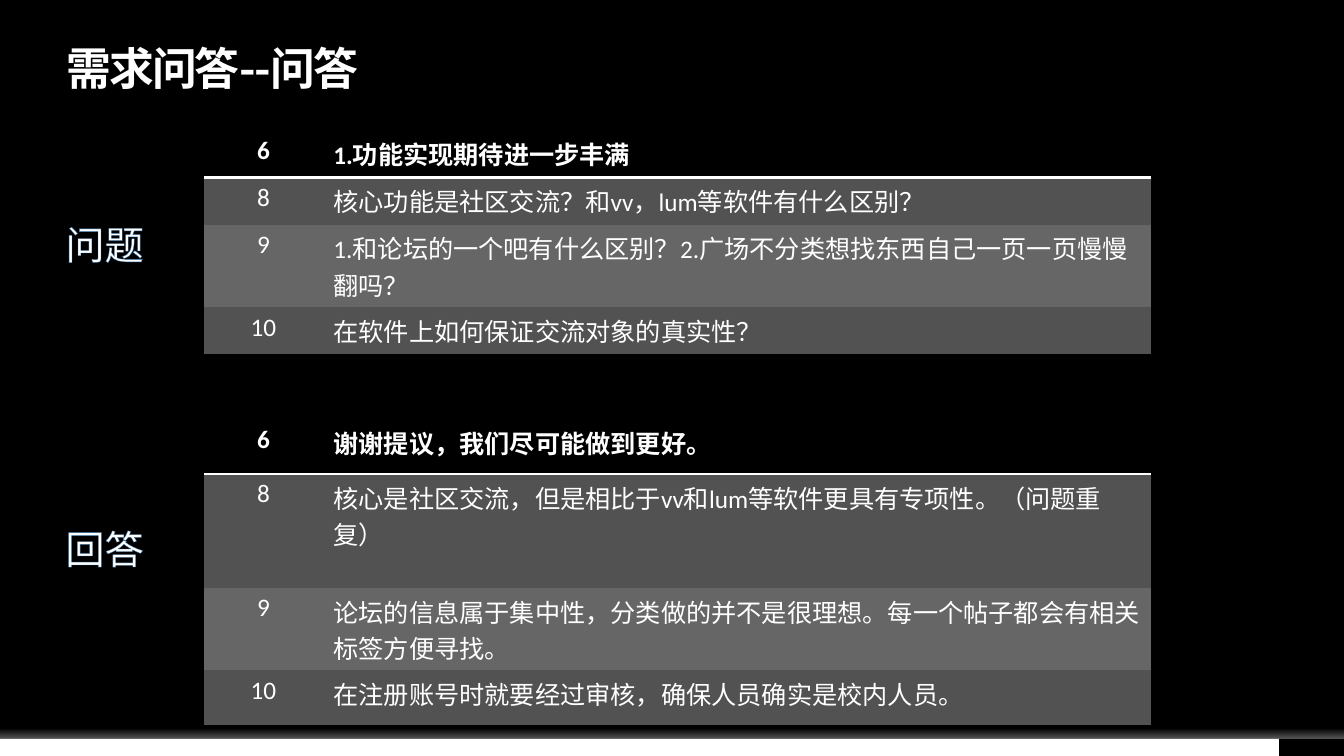
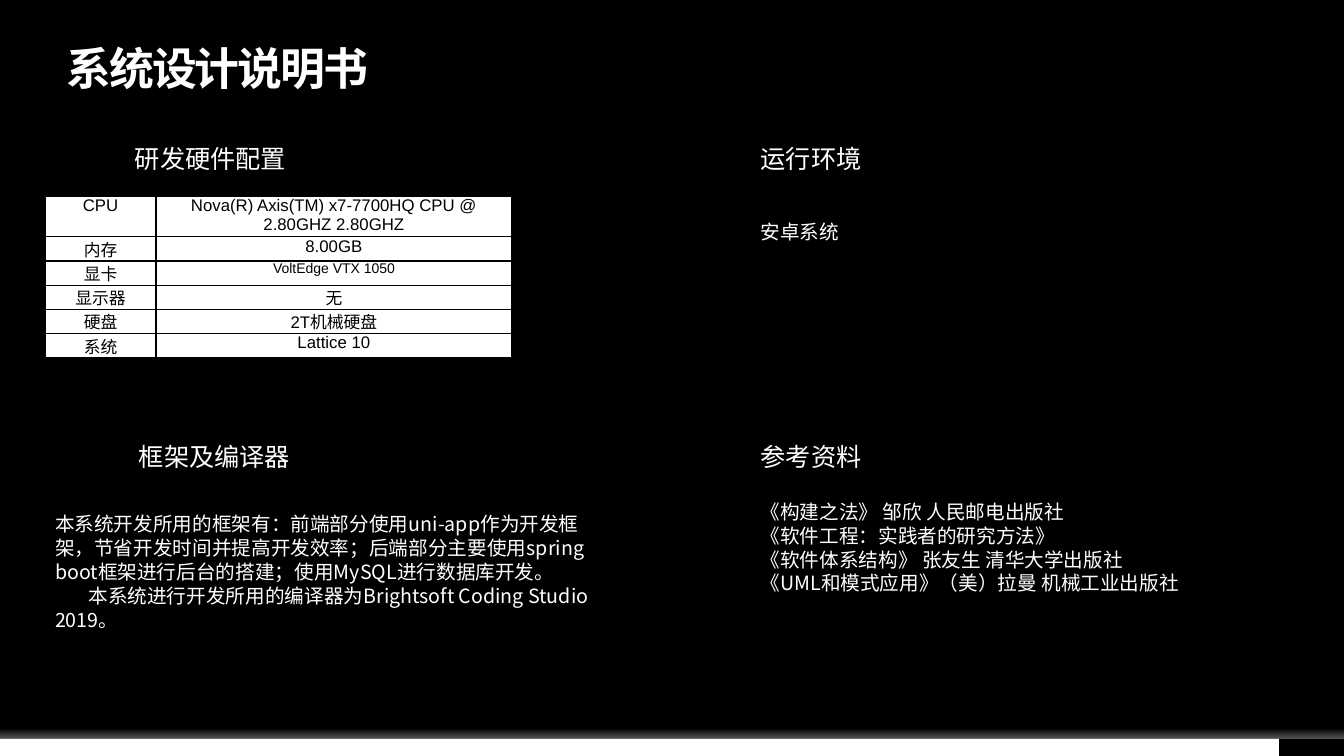
from lxml import etree
from pptx import Presentation
from pptx.dml.color import RGBColor
from pptx.enum.shapes import MSO_SHAPE
from pptx.enum.text import MSO_ANCHOR, PP_ALIGN
from pptx.oxml.ns import qn
from pptx.util import Cm, Pt

RECT = MSO_SHAPE.RECTANGLE
LEFT, MID = PP_ALIGN.LEFT, PP_ALIGN.CENTER
MIDDLE = MSO_ANCHOR.MIDDLE
CJK = "Noto Sans CJK SC"
PLAIN = "{2D5ABB26-0587-4C30-8999-92F81FD0307C}"
HUES = {"black": "000000", "white": "FFFFFF", "dark": "525252", "mid": "666666", "edge": "3C76A6"}
RGB = {name: RGBColor.from_string(hue) for name, hue in HUES.items()}


def write(frame, text, size=18, font="Calibri", hue="white", bold=False, align=LEFT,
          lead=None, before=0, indent=0, space=0, edge=None):
    para = frame.add_paragraph() if frame.text else frame.paragraphs[0]
    para.alignment = align
    if lead:
        para.line_spacing = lead
    if before:
        para.space_before = Pt(before)
    if indent:
        para._p.get_or_add_pPr().set("indent", str(Cm(indent)))
    run = para.add_run()
    run.text = text
    run.font.size, run.font.bold, run.font.name = Pt(size), bold, font
    run.font.color.rgb = RGB[hue]
    props = run._r.get_or_add_rPr()
    etree.SubElement(props, qn("a:ea")).set("typeface", CJK)
    if space:
        props.set("spc", str(space))
    if edge:
        line = etree.Element(qn("a:ln"), w=str(Pt(0.8)))
        fill = etree.SubElement(line, qn("a:solidFill"))
        etree.SubElement(fill, qn("a:srgbClr"), val=HUES[edge])
        props.insert(0, line)


def grid(slide, left, top, cols, rows, cells, style):
    shape = slide.shapes.add_table(len(rows), len(cols), Cm(left), Cm(top), Cm(sum(cols)), Cm(sum(rows)))
    table = shape.table
    table.first_row = table.horz_banding = False
    table._tbl.tblPr.find(qn("a:tableStyleId")).text = PLAIN
    for col, width in zip(table.columns, cols):
        col.width = Cm(width)
    for y, height in enumerate(rows):
        table.rows[y].height = Cm(height)
        for x, text in enumerate(cells[y]):
            cell = table.cell(y, x)
            fill, sides, hue, width, form = style(x, y)
            if "margin" in form:
                cell.margin_left = cell.margin_right = Cm(form["margin"])
                cell.margin_top = cell.margin_bottom = 0
            cell.fill.solid()
            cell.fill.fore_color.rgb = RGB[fill]
            for spot, side in enumerate(sides):
                line = etree.Element(qn("a:ln" + side), w=str(Pt(width)))
                paint = etree.SubElement(line, qn("a:solidFill"))
                etree.SubElement(paint, qn("a:srgbClr"), val=HUES[hue])
                cell._tc.get_or_add_tcPr().insert(spot, line)
            write(cell.text_frame, text, **{k: v for k, v in form.items() if k != "margin"})


deck = Presentation()
deck.slide_width, deck.slide_height = Cm(33.87), Cm(19.05)

slides = []
for title in ("需求问答--问答", "系统设计说明书"):
    slide = deck.slides.add_slide(deck.slide_layouts[6])
    slide.background.fill.solid()
    slide.background.fill.fore_color.rgb = RGB["black"]
    for top, width in ((18.62, 32.23), (18.19, 33.87)):
        band = slide.shapes.add_shape(RECT, 0, Cm(top), Cm(width), Cm(0.43))
        band.shadow.inherit = False
        band.line.fill.background()
        if top == 18.62:
            band.fill.solid()
            band.fill.fore_color.rgb = RGB["white"]
            continue
        band.fill.gradient()
        band.fill.gradient_angle = 270
        for stop, (place, alpha) in zip(band.fill.gradient_stops, ((0.4, 0), (1, 35000))):
            stop.position = place
            stop.color.rgb = RGB["white"]
            tone = stop._gs.find(qn("a:srgbClr"))
            etree.SubElement(tone, qn("a:alpha"), val=str(alpha))
    frame = slide.shapes.add_textbox(Cm(1.68), Cm(1.19), Cm(27.71), Cm(1.19)).text_frame
    frame.word_wrap = True
    frame.vertical_anchor = MIDDLE
    frame.margin_left = frame.margin_right = frame.margin_top = frame.margin_bottom = 0
    write(frame, title, size=32, font=CJK, bold=True, lead=0.9, space=-150)
    slides.append(slide)

talk, design = slides


def band_style(x, y):
    fill = ("black", "dark", "mid", "dark")[y]
    form = {"bold": y == 0, "align": LEFT if x else MID}
    return fill, "" if y else "B", "white", 2, form


def spec_style(x, y):
    size = 10 if (x, y) == (1, 2) else 12
    form = {"size": size, "font": "Arial", "hue": "black", "align": MID, "margin": 0.18}
    return "white", "LRTB", "black", 1, form


asks = [
    "1.功能实现期待进一步丰满",
    "核心功能是社区交流？和vv，lum等软件有什么区别？",
    "1.和论坛的一个吧有什么区别？2.广场不分类想找东西自己一页一页慢慢翻吗？",
    "在软件上如何保证交流对象的真实性？",
]
replies = [
    "谢谢提议，我们尽可能做到更好。",
    "核心是社区交流，但是相比于vv和lum等软件更具有专项性。（问题重复）",
    "论坛的信息属于集中性，分类做的并不是很理想。每一个帖子都会有相关标签方便寻找。",
    "在注册账号时就要经过审核，确保人员确实是校内人员。",
]
groups = ["6", "8", "9", "10"]
for top, rows, texts in (
    (10.57, (1.37, 2.87, 2.08, 1.37), replies),
    (3.28, (1.19, 1.19, 2.08, 1.19), asks),
):
    grid(talk, 5.13, top, (3.02, 20.85), rows, list(zip(groups, texts)), band_style)

specs = [
    ("CPU", "Nova(R) Axis(TM) x7-7700HQ CPU @ 2.80GHZ 2.80GHZ"),
    ("内存", "8.00GB"),
    ("显卡", "VoltEdge VTX 1050"),
    ("显示器", "无"),
    ("硬盘", "2T机械硬盘"),
    ("系统", "Lattice 10"),
]
grid(design, 1.14, 4.95, (2.79, 8.97), [0.94] + [0.61] * 5, specs, spec_style)

label = {"size": 28, "lead": Pt(37), "edge": "edge"}
head = {"lead": Pt(23)}
mid = {**head, "align": MID}
body = {"size": 14, "font": CJK, "lead": Pt(17)}
boxes = [
    (talk, 1.4, 5.31, 3.28, 1.45, [("问题", label)]),
    (talk, 1.4, 12.98, 3.28, 1.45, [("回答", label)]),
    (design, 1.14, 3.43, 8.33, 1.02, [("研发硬件配置", mid)]),
    (design, 1.14, 10.95, 8.53, 1.02, [("框架及编译器", mid)]),
    (design, 1.14, 12.78, 14.12, 3.25, [
        ("本系统开发所用的框架有：前端部分使用uni-app作为开发框架，节省开发时间并提高开发效率；"
         "后端部分主要使用spring boot框架进行后台的搭建；使用MySQL进行数据库开发。", body),
        ("本系统进行开发所用的编译器为Brightsoft Coding Studio 2019。", {**body, "indent": 0.84}),
    ]),
    (design, 18.92, 3.43, 9.45, 2.82, [
        ("运行环境", head),
        ("安卓系统", {**body, "font": "Calibri", "before": 33}),
    ]),
    (design, 18.92, 10.95, 14.38, 4.19, [
        ("参考资料", head),
        ("《构建之法》 邹欣 人民邮电出版社", {**body, "before": 20}),
        ("《软件工程：实践者的研究方法》", body),
        ("《软件体系结构》 张友生 清华大学出版社", body),
        ("《UML和模式应用》（美）拉曼 机械工业出版社", body),
    ]),
]
for slide, left, top, width, height, lines in boxes:
    frame = slide.shapes.add_textbox(Cm(left), Cm(top), Cm(width), Cm(height)).text_frame
    frame.word_wrap = True
    for text, form in lines:
        write(frame, text, **form)

deck.save("out.pptx")
